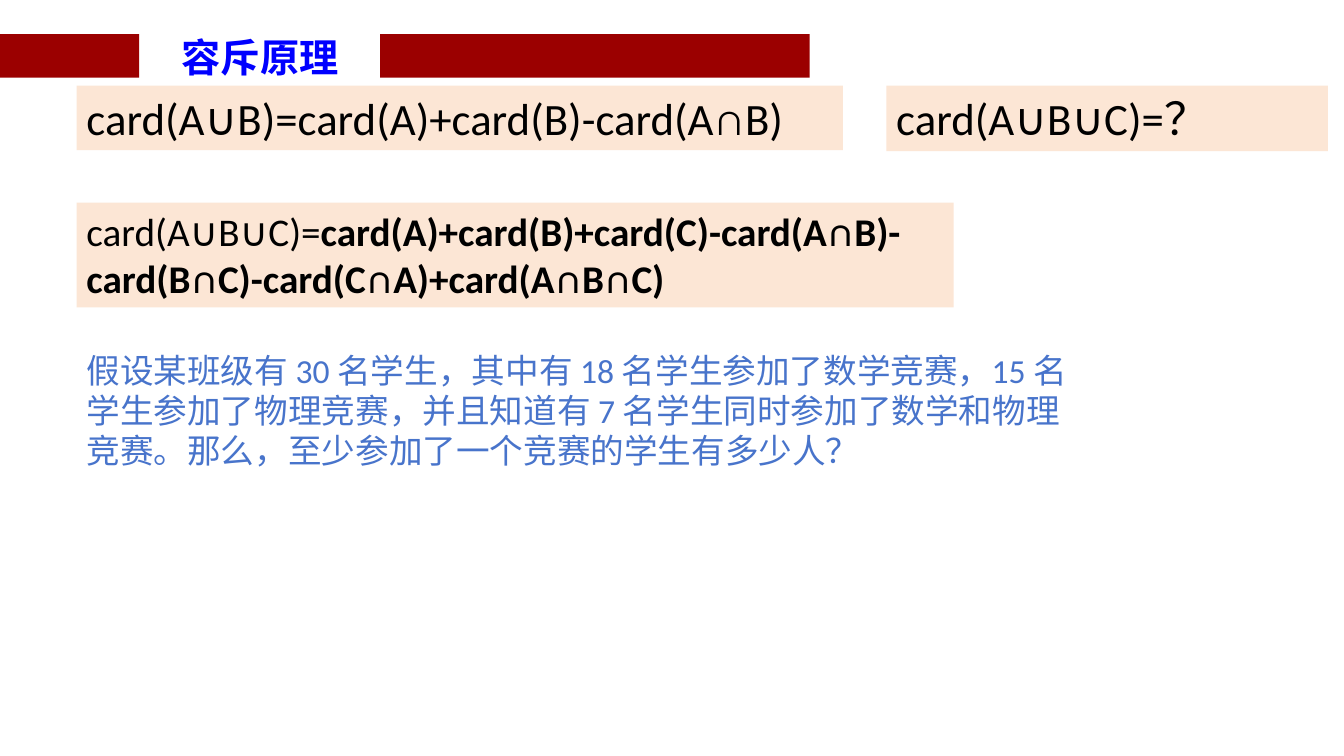
from dataclasses import dataclass

from pptx import Presentation
from pptx.dml.color import RGBColor
from pptx.enum import shapes, text
from pptx.util import Emu, Pt

PX = 9144  # EMU per px, 100 px to the inch

DARK_RED = RGBColor(0x9B, 0x00, 0x00)
PEACH = RGBColor(0xFC, 0xE6, 0xD5)
TITLE_BLUE = RGBColor(0x00, 0x00, 0xFF)
QUESTION_BLUE = RGBColor(0x48, 0x74, 0xCB)
BLACK = RGBColor(0x00, 0x00, 0x00)


@dataclass(frozen=True)
class Box:
    left: int
    top: int
    width: int
    height: int

    def emu(self) -> list[Emu]:
        return [Emu(v * PX) for v in (self.left, self.top, self.width, self.height)]


@dataclass(frozen=True)
class Run:
    words: str
    bold: bool = False


@dataclass(frozen=True)
class Formula:
    box: Box
    size: int
    runs: tuple[Run, ...]


TITLE_BOX = Box(128, 28, 260, 57)
BARS = (Box(0, 34, 138, 43), Box(377, 34, 426, 43))
FORMULAS = (
    Formula(Box(76, 85, 760, 64), 32, (Run("card(A∪B)=card(A)+card(B)-card(A∩B)"),)),
    Formula(Box(879, 85, 438, 65), 32, (Run("card(A∪B∪C)=？"),)),
    Formula(Box(76, 201, 870, 104), 28, (
        Run("card(A∪B∪C)="),
        Run("card(A)+card(B)+card(C)-card(A∩B)-card(B∩C)-card(C∩A)+card(A∩B∩C)", True),
    )),
)
QUESTION_BOX = Box(76, 342, 1012, 131)
QUESTION = Run(
    "假设某班级有 30 名学生，其中有 18 名学生参加了数学竞赛，15 名学生参加了物理竞赛，"
    "并且知道有 7 名学生同时参加了数学和物理竞赛。那么，至少参加了一个竞赛的学生有多少人？"
)


def add_rect(slide, box: Box, color: RGBColor):
    sp = slide.shapes.add_shape(shapes.MSO_SHAPE.RECTANGLE, *box.emu())
    sp.shadow.inherit = False
    sp.fill.solid()
    sp.fill.fore_color.rgb = color
    sp.line.fill.background()
    return sp


def write(sp, runs: tuple[Run, ...], size: int, color: RGBColor,
          font: str = "Calibri", align=text.PP_ALIGN.LEFT) -> None:
    frame_format = {
        "word_wrap": True,
        "auto_size": text.MSO_AUTO_SIZE.NONE,
        "vertical_anchor": text.MSO_ANCHOR.TOP,
    }
    tf = sp.text_frame
    for name, value in frame_format.items():
        setattr(tf, name, value)
    p = tf.paragraphs[0]
    p.alignment = align
    for run in runs:
        r = p.add_run()
        r.text = run.words
        for name, value in {"name": font, "size": Pt(size), "bold": run.bold}.items():
            setattr(r.font, name, value)
        r.font.color.rgb = color


def main() -> None:
    prs = Presentation()
    prs.slide_width, prs.slide_height = Emu(1333 * PX), Emu(750 * PX)
    slide = prs.slides.add_slide(prs.slide_layouts[5])

    title = slide.shapes.title
    title.left, title.top, title.width, title.height = TITLE_BOX.emu()
    write(title, (Run("容斥原理", True),), 28, TITLE_BLUE,
          "Times New Roman", text.PP_ALIGN.CENTER)

    for bar in BARS:
        add_rect(slide, bar, DARK_RED)
    for formula in FORMULAS:
        write(add_rect(slide, formula.box, PEACH), formula.runs, formula.size, BLACK)
    question = slide.shapes.add_textbox(*QUESTION_BOX.emu())
    write(question, (QUESTION,), 24, QUESTION_BLUE)

    prs.save("out.pptx")


if __name__ == "__main__":
    main()
